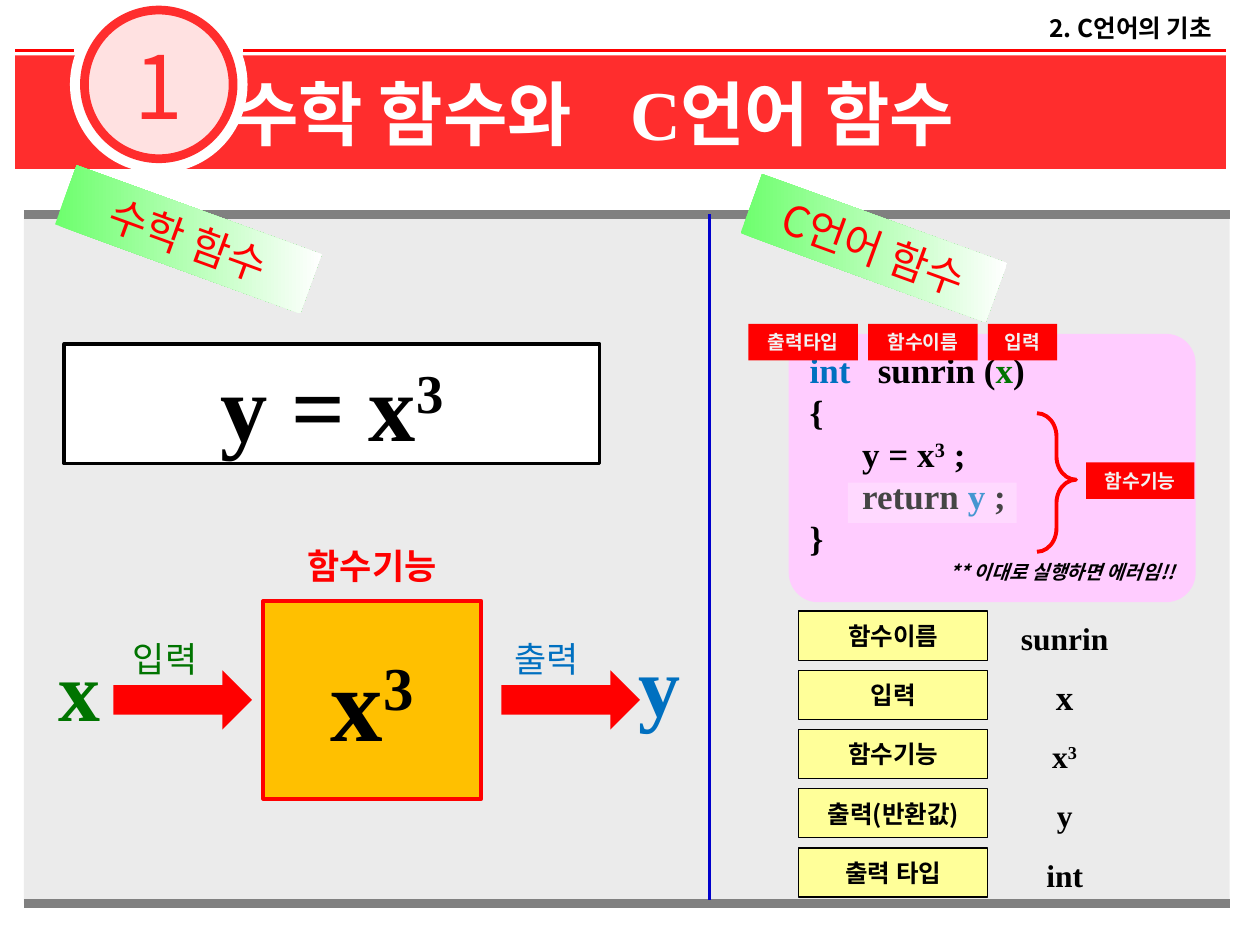
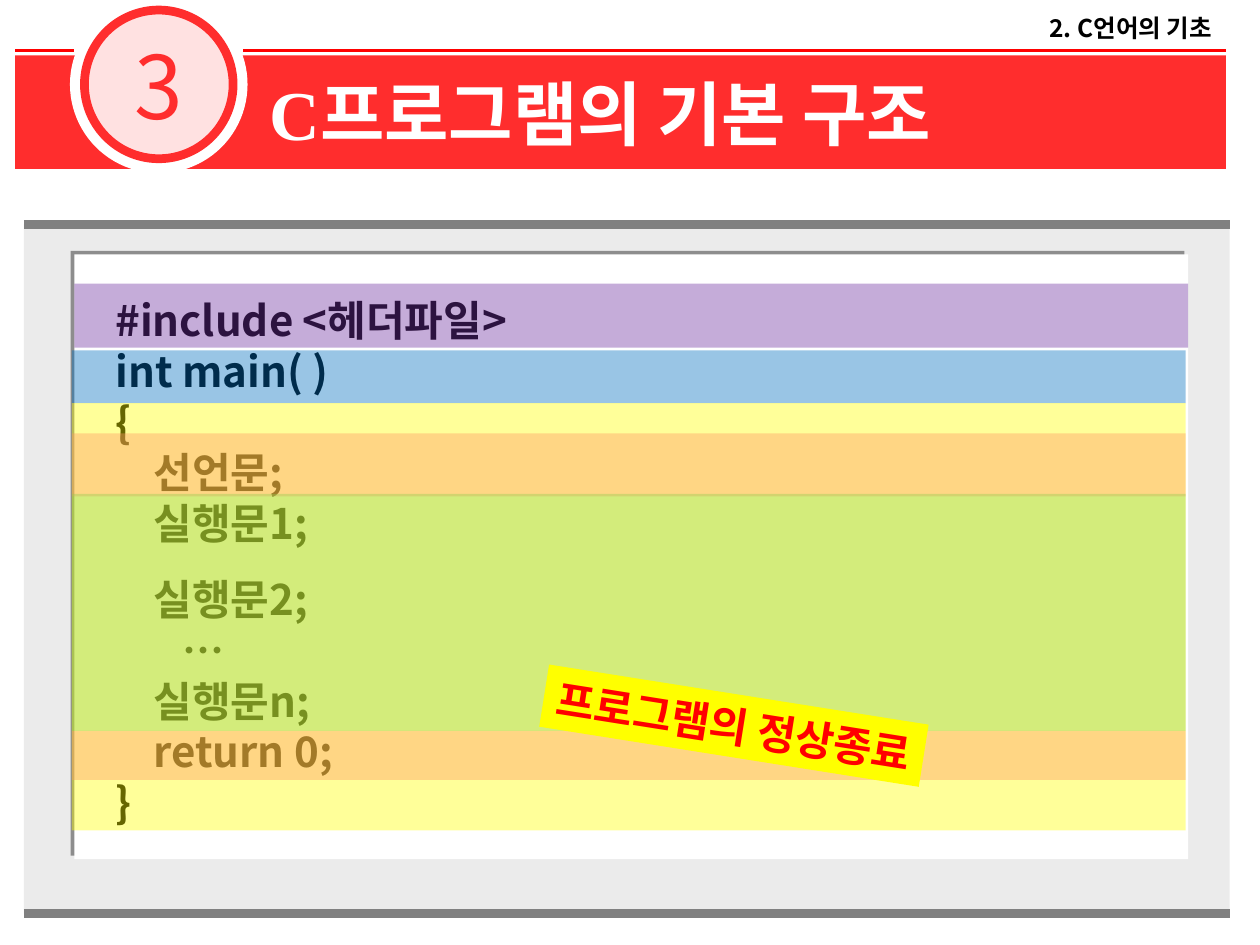
from lxml import etree
from pptx import Presentation
from pptx.dml.color import RGBColor
from pptx.enum.shapes import MSO_CONNECTOR, MSO_SHAPE
from pptx.enum.text import MSO_ANCHOR, PP_ALIGN
from pptx.oxml.ns import qn
from pptx.util import Emu, Pt

PX = 9144
WIDTH, HEIGHT = 1000, 750
SANS, SERIF = "Noto Sans CJK KR", "Times New Roman"
RECT, OVAL = MSO_SHAPE.RECTANGLE, MSO_SHAPE.OVAL
ROUND, ARROW = MSO_SHAPE.ROUNDED_RECTANGLE, MSO_SHAPE.RIGHT_ARROW
BRACE = MSO_SHAPE.RIGHT_BRACE
STRAIGHT = MSO_CONNECTOR.STRAIGHT
TOP, MIDDLE = MSO_ANCHOR.TOP, MSO_ANCHOR.MIDDLE
LEFT, CENTER, RIGHT = PP_ALIGN.LEFT, PP_ALIGN.CENTER, PP_ALIGN.RIGHT

BLACK = RGBColor(0x00, 0x00, 0x00)
WHITE = RGBColor(0xFF, 0xFF, 0xFF)
OFF_WHITE = RGBColor(0xF2, 0xF2, 0xF2)
RED = RGBColor(0xFF, 0x00, 0x00)
BAND_RED = RGBColor(0xFF, 0x2D, 0x2D)
PALE_RED = RGBColor(0xFF, 0xE1, 0xE1)
PANEL_GRAY = RGBColor(0xD8, 0xD8, 0xD8)
EDGE_GRAY = RGBColor(0x80, 0x80, 0x80)
GREEN = RGBColor(0x00, 0x74, 0x00)
BLUE = RGBColor(0x00, 0x70, 0xC0)
NAVY = RGBColor(0x00, 0x00, 0xCC)
GOLD = RGBColor(0xFF, 0xC0, 0x00)
PINK = RGBColor(0xFF, 0xCC, 0xFF)
CREAM = RGBColor(0xFF, 0xFF, 0x99)
MINT = RGBColor(0x6D, 0xFF, 0x6D)
PURPLE = RGBColor(0x70, 0x30, 0xA0)
YELLOW = RGBColor(0xFF, 0xFF, 0x00)
ORANGE = RGBColor(0xFF, 0x99, 0x66)
LIME = RGBColor(0x92, 0xD0, 0x50)

CUBE = ["x", ("3", {"baseline": 30000})]


def fmt(size, color=BLACK, name=SANS, bold=True, **more):
    """Return a dict of format values for text."""
    return dict(size=Pt(size), color=color, name=name, bold=bold, **more)


def add_run(p, text, values):
    """Add one formatted run to a paragraph."""
    r = p.add_run()
    r.text = text
    for key, value in values.items():
        if key == "color":
            r.font.color.rgb = value
        elif key == "baseline":
            r.font._element.set("baseline", str(value))
        else:
            setattr(r.font, key, value)
    etree.SubElement(r.font._element, qn("a:ea"), typeface=SANS)


def write(sp, paras, values, align=CENTER, anchor=MIDDLE, inset=(0, 0, 0, 0),
          leads=(), tab=0):
    """Fill a shape with paragraphs of runs."""
    tf = sp.text_frame
    tf.word_wrap = True
    tf.vertical_anchor = anchor
    for side, gap in zip(("left", "top", "right", "bottom"), inset):
        setattr(tf, f"margin_{side}", Emu(gap * PX))
    for i, runs in enumerate(paras):
        p = tf.add_paragraph() if i else tf.paragraphs[0]
        p.alignment = align
        if tab and i == 0:
            tabs = etree.SubElement(p._p.get_or_add_pPr(), qn("a:tabLst"))
            etree.SubElement(tabs, qn("a:tab"), pos=str(tab * PX), algn="l")
        if leads:
            p.line_spacing = Pt(leads[i])
        for run in [runs] if isinstance(runs, str) else runs:
            text, extra = (run, {}) if isinstance(run, str) else run
            add_run(p, text, {**values, **extra})
    return sp


def add_box(s, box, fill=None, line=None, weight=1.0, kind=RECT, alpha=None):
    """Add a preset shape with plain fill and outline."""
    sp = s.shapes.add_shape(kind, *(Emu(v * PX) for v in box))
    sp.shadow.inherit = False
    if fill is None:
        sp.fill.background()
    else:
        sp.fill.solid()
        sp.fill.fore_color.rgb = fill
    if alpha:
        clr = sp._element.spPr.find(qn("a:solidFill"))[0]
        etree.SubElement(clr, qn("a:alpha"), val=str(alpha * 1000))
    if line is None:
        sp.line.fill.background()
    else:
        sp.line.color.rgb = line
        sp.line.width = Pt(weight)
    return sp


def add_text(s, box, text, values, **layout):
    """Add a text box."""
    sp = s.shapes.add_textbox(*(Emu(v * PX) for v in box))
    return write(sp, [text], values, **layout)


def add_line(s, x1, y1, x2, y2, color, weight):
    """Add a straight line."""
    c = s.shapes.add_connector(STRAIGHT, *(Emu(v * PX) for v in (x1, y1, x2, y2)))
    c.line.color.rgb = color
    c.line.width = Pt(weight)
    etree.SubElement(c._element.spPr, qn("a:effectLst"))


def title_band(s, box, number, title, indent, tab=0):
    """Draw the numbered title band with the chapter name above it."""
    x, y, w, h = box
    band = add_box(s, box, BAND_RED)
    write(band, [title], fmt(40, WHITE, SERIF), align=LEFT,
          inset=(indent, 0, 0, 0), tab=tab)
    add_box(s, (x + 47, y - 44, 134, 134), WHITE, WHITE, 5, OVAL)
    disc = add_box(s, (x + 55, y - 36, 118, 118), PALE_RED, BAND_RED, 5, OVAL)
    write(disc, [number], fmt(50, BAND_RED, bold=False))
    for start, end in ((181, w), (0, 47)):
        add_line(s, x + start, y - 4, x + end, y - 4, RED, 2)
    add_text(s, (x + w - 183, y - 39, 172, 34), "2. C언어의 기초", fmt(14), align=RIGHT)


def panel(s, box):
    """Draw the gray content panel with its top and bottom edges."""
    x, y, w, h = box
    add_box(s, box, PANEL_GRAY, alpha=50)
    for edge in (y, y + h):
        add_line(s, x, edge, x + w, edge, EDGE_GRAY, 5)


def tilted_label(s, box, text):
    """Draw a tilted heading on a green gradient."""
    sp = add_box(s, box, MINT)
    sp.fill.gradient()
    sp.fill.gradient_angle = 20
    for stop, color in zip(sp.fill.gradient_stops, (MINT, WHITE)):
        stop.color.rgb = color
    sp.rotation = 20
    write(sp, [text], fmt(24, RED, bold=False))


def math_side(s, box):
    """Draw the formula and the input-function-output diagram."""
    x, y, w, h = box
    formula = add_box(s, (x + 32, y + 103, 425, 95), WHITE, BLACK, 2)
    write(formula, [["y = "] + CUBE], fmt(54, name=SERIF))
    machine = add_box(s, (x + 190, y + 307, 173, 157), GOLD, RED, 2.25)
    write(machine, [CUBE], fmt(60, name=SERIF))
    add_text(s, (x + 190, y + 257, 173, 44), "함수기능", fmt(20, RED))
    flows = (("입력", "x", GREEN, 71, 75, 18, 331),
             ("출력", "y", BLUE, 379, 378, 478, 327))
    for name, symbol, color, arrow_x, name_x, symbol_x, symbol_y in flows:
        add_box(s, (x + arrow_x, y + 362, 110, 47), RED, kind=ARROW)
        add_text(s, (x + symbol_x, y + symbol_y, 53, 90), symbol,
                 fmt(48, color, SERIF))
        add_text(s, (x + name_x, y + 331, 74, 44), name,
                 fmt(20, color, bold=False))
    tilted_label(s, (x + 27, y - 5, 207, 50), "수학 함수")


def red_tag(s, x, y, w, text):
    """Draw a small red tag."""
    write(add_box(s, (x, y, w, 29), RED), [text], fmt(11, OFF_WHITE))


def code_card(s, box):
    """Draw the function code with its tags and brace."""
    x, y, w, h = box
    card = add_box(s, box, PINK, kind=ROUND)
    card.adjustments[0] = 0.11
    blue, green = {"color": BLUE}, {"color": GREEN}
    note = {"size": Pt(11), "name": SANS, "italic": True}
    code = [[("int", blue), "\tsunrin (", ("x", green), ")"],
            "{",
            ["      y = "] + CUBE + [" ;"],
            ["      return ", ("y", blue), " ;"],
            "}",
            [("** 이대로 실행하면 에러임!!", note)]]
    write(card, code, fmt(20, name=SERIF), align=LEFT, anchor=TOP,
          inset=(10, 5, 10, 5), leads=[24] * 5 + [14], tab=54)
    card.text_frame.paragraphs[-1].alignment = RIGHT
    for dx, width, text in ((-32, 87, "출력타입"), (63, 87, "함수이름"), (158, 55, "입력")):
        red_tag(s, x + dx, y - 8, width, text)
    brace = add_box(s, (x + 197, y + 63, 31, 110), None, RED, 2.25, BRACE)
    brace.adjustments[0], brace.adjustments[1] = 0.6, 0.48
    red_tag(s, x + 236, y + 102, 86, "함수기능")
    add_box(s, (x + 47, y + 118, 134, 32), WHITE, alpha=27)


def summary_rows(s, box):
    """Draw the label and value pairs at an even pitch."""
    x, y, w, h = box
    rows = (("함수이름", "sunrin", 18), ("입력", "x", 20), ("함수기능", CUBE, 18),
            ("출력(반환값)", "y", 18), ("출력 타입", "int", 18))
    for i, (label, value, size) in enumerate(rows):
        top = y + i * h // len(rows)
        write(add_box(s, (x, top, 150, 39), CREAM, BLACK, 0.75), [label], fmt(14))
        add_text(s, (x + 146, top, 130, 42), value, fmt(size, name=SERIF))


def program_listing(s, box):
    """Draw the program skeleton with its coloured zones."""
    x, y, w, h = box
    sheet = add_box(s, box, WHITE)
    effects = sheet._element.spPr.find(qn("a:effectLst"))
    shadow = etree.SubElement(effects, qn("a:outerShdw"), blurRad="0",
                              dist=str(Pt(3)), dir="13500000", algn="br",
                              rotWithShape="0")
    clr = etree.SubElement(shadow, qn("a:srgbClr"), val=str(BLACK))
    etree.SubElement(clr, qn("a:alpha"), val="40000")
    code = ["   #include <헤더파일>", "   int main( )", "   {",
            "       선언문;", "       실행문1;", "       실행문2;",
            "          …", "       실행문n;", "       return 0;", "   }"]
    write(sheet, code, fmt(24), align=LEFT, inset=(10, 6, 10, 0),
          leads=[29] * 5 + [43.5] + [29] * 4)
    zones = ((0, 23, 51, PURPLE), (-2, 76, 42, BLUE), (-2, 118, 339, YELLOW),
             (-2, 142, 50, ORANGE), (-2, 190, 188, LIME), (-2, 378, 39, ORANGE))
    for dx, dy, height, color in zones:
        add_box(s, (x + dx, y + dy, w, height), color, alpha=40)
    ending = add_box(s, (x + 371, y + 349, 305, 50), YELLOW)
    ending.rotation = 9
    write(ending, ["프로그램의 정상종료"], fmt(24, RED))


def function_slide(s, box):
    """Compare a mathematical function with a C function."""
    x, y, w, h = box
    title_band(s, (12, 44, 961, 90), "1", "수학 함수와\tC언어 함수", 174, 314)
    panel(s, box)
    math_side(s, (x, y, 544, h))
    add_line(s, x + 544, y, x + 544, y + h - 3, NAVY, 2)
    code_card(s, (x + 607, y + 95, 323, 213))
    tilted_label(s, (x + 571, y + 2, 207, 50), "C언어 함수")
    summary_rows(s, (x + 615, y + 315, 276, 236))


def structure_slide(s, box):
    """Show the basic structure of a C program."""
    x, y, w, h = box
    title_band(s, (12, 44, 961, 90), "3", "C프로그램의 기본 구조", 202)
    panel(s, box)
    program_listing(s, (x + 40, y + 24, 884, 480))


def main():
    """Build and save the slides."""
    prs = Presentation()
    prs.slide_width, prs.slide_height = Emu(WIDTH * PX), Emu(HEIGHT * PX)
    blank = prs.slide_layouts[6]
    function_slide(prs.slides.add_slide(blank), (19, 170, 957, 547))
    structure_slide(prs.slides.add_slide(blank), (19, 178, 957, 547))
    prs.save("out.pptx")


if __name__ == "__main__":
    main()
